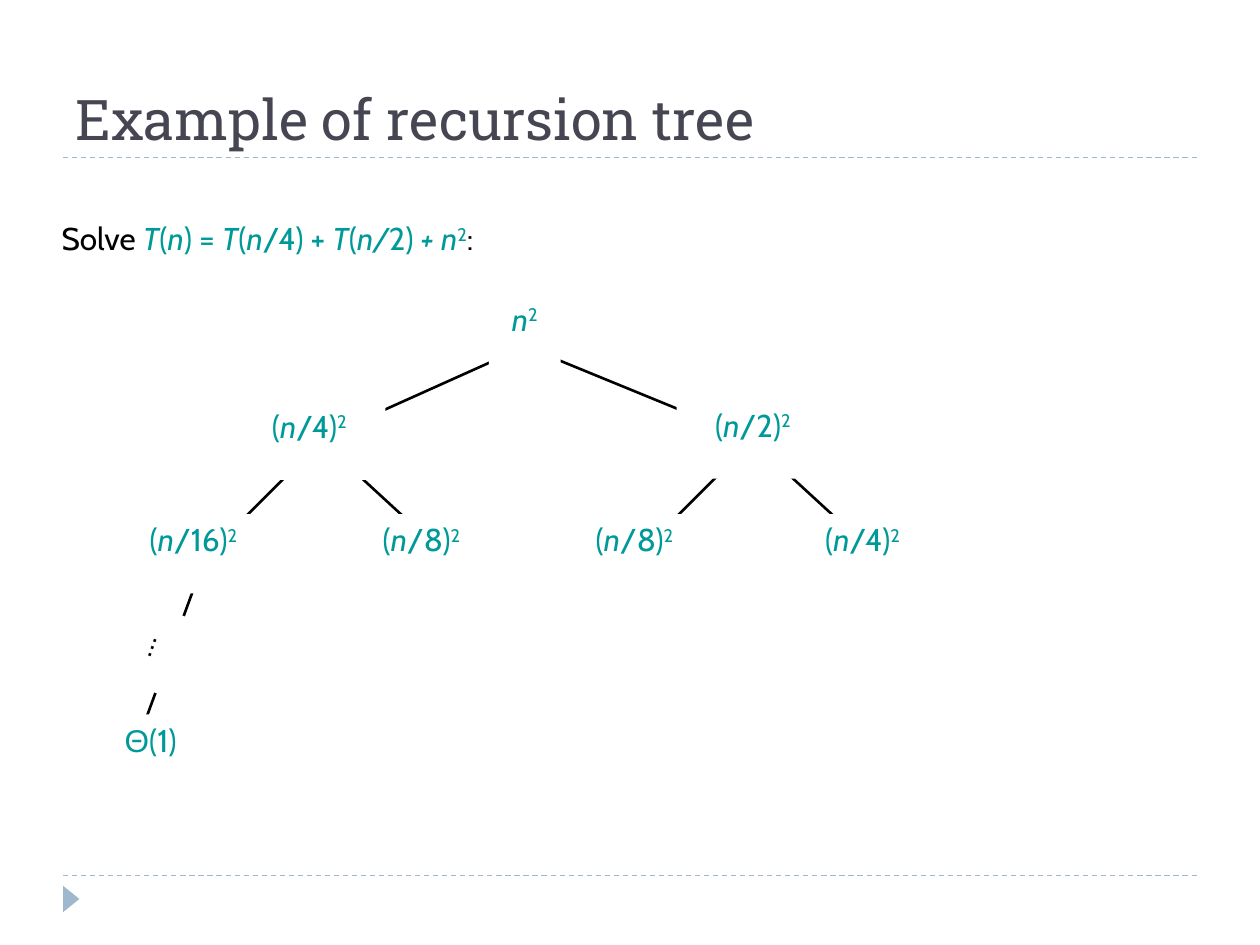
from lxml.etree import SubElement
from pptx import Presentation
from pptx.dml.color import RGBColor
from pptx.enum.dml import MSO_LINE
from pptx.enum.shapes import MSO_CONNECTOR, MSO_SHAPE
from pptx.enum.text import MSO_ANCHOR, PP_ALIGN
from pptx.oxml.ns import qn
from pptx.util import Inches, Pt

BLACK = RGBColor(0x00, 0x00, 0x00)
WHITE = RGBColor(0xFF, 0xFF, 0xFF)
TEAL = RGBColor(0x00, 0x99, 0x99)
SLATE = RGBColor(0x46, 0x46, 0x53)
PALE_BLUE = RGBColor(0x9F, 0xB8, 0xCD)

presentation = Presentation()
presentation.slide_width = Inches(10)
presentation.slide_height = Inches(7.5)
slide = presentation.slides.add_slide(presentation.slide_layouts[6])


def add_line(start, end, color, width):
    line = slide.shapes.add_connector(
        MSO_CONNECTOR.STRAIGHT, *[Inches(value) for value in (*start, *end)])
    line.line.color.rgb = color
    line.line.width = Pt(width)
    SubElement(line._element.spPr, qn("a:effectLst"))
    return line


def add_runs(paragraph, pieces, color=TEAL, font="Cabin", size=18):
    """Each piece is (text, style): i for italic, ^ for superscript."""
    for text, style in pieces:
        run = paragraph.add_run()
        run.text = text
        run.font.name = font
        run.font.size = Pt(size)
        run.font.color.rgb = color
        run.font.italic = style == "i"
        if style == "^":
            run.font._element.set("baseline", "30000")


# Rules and page marker
for y in (1.25, 6.95):
    rule = add_line((0.5, y), (9.5, y), PALE_BLUE, 0.75)
    rule.line.dash_style = MSO_LINE.DASH

marker = slide.shapes.add_shape(
    MSO_SHAPE.ISOSCELES_TRIANGLE, Inches(0.46), Inches(7.07), Inches(0.21), Inches(0.13))
marker.rotation = 90
marker.shadow.inherit = False
marker.fill.solid()
marker.fill.fore_color.rgb = PALE_BLUE
marker.line.fill.background()

# Title
title = slide.shapes.add_textbox(Inches(0.5), Inches(0.25), Inches(9), Inches(1))
title.text_frame.word_wrap = True
title.text_frame.vertical_anchor = MSO_ANCHOR.BOTTOM
add_runs(title.text_frame.paragraphs[0], [("Example of recursion tree", "")],
         SLATE, "Roboto Slab", 32)

# Recurrence
recurrence = slide.shapes.add_textbox(Inches(0.39), Inches(1.69), Inches(6.27), Inches(0.63))
recurrence.text_frame.word_wrap = False
paragraph = recurrence.text_frame.paragraphs[0]
add_runs(paragraph, [("Solve ", "")], BLACK)
add_runs(paragraph, [
    ("T", "i"), ("(", ""), ("n", "i"), (") = ", ""),
    ("T", "i"), ("(", ""), ("n", "i"), ("/4) + ", ""),
    ("T", "i"), ("(", ""), ("n/", "i"), ("2)", ""), (" + n", "i"), ("2", "^")])
add_runs(paragraph, [(":", "")], BLACK)

# Branches, partly covered by the node boxes
root, left, right, leaf = (4.17, 2.75), (2.55, 3.5), (5.97, 3.5), (1.63, 4.42)
branches = [
    (root, (2.5, 3.5)), (root, (6, 3.5)),
    (left, leaf), (left, (3.55, 4.42)),
    (right, (5.05, 4.42)), (right, (6.97, 4.42)),
    (leaf, (1.05, 6)),
]
for start, end in branches:
    add_line(start, end, BLACK, 1.5)

# Nodes: left, top, width, rotation, colour, pieces
nodes = [
    (3.88, 2.33, 0.57, 0, TEAL, [("n", "i"), ("2", "^")]),
    (0.67, 5.67, 1.05, 0, TEAL, [("Θ", ""), ("(1)", "")]),
    (0.91, 4.84, 0.65, 289.4, BLACK, [("…", "")]),
]
for x, y, width, divisor in [
    (1.85, 3.18, 1.21, 4), (5.37, 3.17, 1.21, 2),
    (0.82, 4.08, 1.43, 16), (2.74, 4.08, 1.21, 8),
    (4.43, 4.08, 1.21, 8), (6.24, 4.08, 1.21, 4),
]:
    pieces = [("(", ""), ("n", "i"), (f"/{divisor})", ""), ("2", "^")]
    nodes.append((x, y, width, 0, TEAL, pieces))

for x, y, width, rotation, color, pieces in nodes:
    node = slide.shapes.add_shape(
        MSO_SHAPE.RECTANGLE, Inches(x), Inches(y), Inches(width), Inches(0.63))
    node.rotation = rotation
    node.shadow.inherit = False
    node.fill.solid()
    node.fill.fore_color.rgb = WHITE
    node.line.fill.background()
    node.text_frame.word_wrap = False
    node.text_frame.vertical_anchor = MSO_ANCHOR.TOP
    paragraph = node.text_frame.paragraphs[0]
    paragraph.alignment = PP_ALIGN.CENTER
    add_runs(paragraph, pieces, color)
    if pieces[0][0] == "Θ":
        paragraph.runs[0].font.name = "Arial"

presentation.save("out.pptx")
